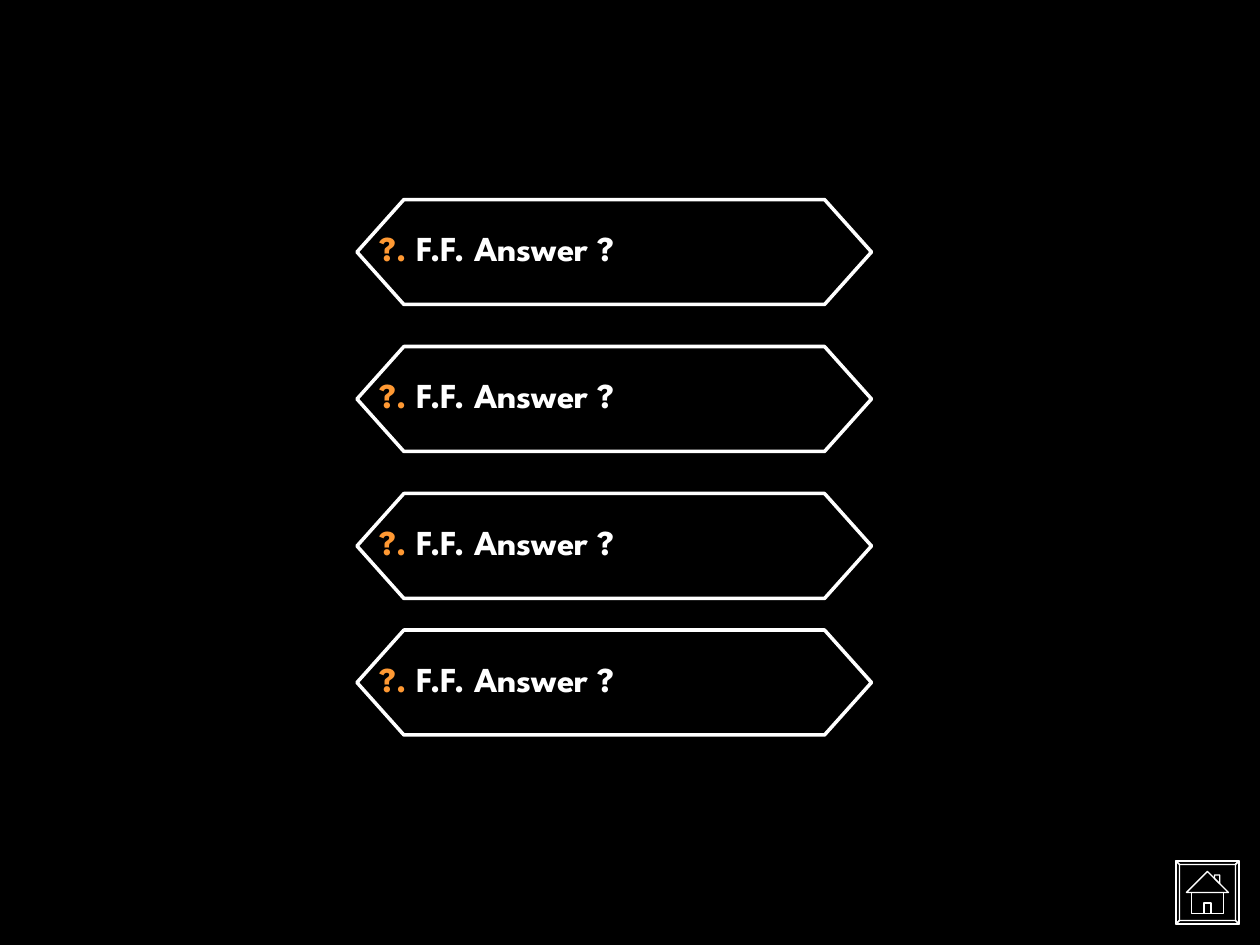
from pptx import Presentation
from pptx import util as u
from pptx.dml.color import RGBColor
from pptx.enum import shapes, text

BLACK, WHITE, ORANGE = "000000", "FFFFFF", "FF9933"


def color(hex_string):
    return RGBColor.from_string(hex_string)


def add_run(p, words, font="League Spartan", size=20, bold=True, ink=WHITE):
    r = p.add_run()
    r.text = words
    r.font.name = font
    r.font.size = u.Pt(size)
    r.font.bold = bold
    r.font.color.rgb = color(ink)
    return r


class Board:
    """Black quiz board with white outlines."""

    def __init__(self, prs):
        self.s = prs.slides.add_slide(prs.slide_layouts[6])
        fill = self.s.background.fill
        fill.solid()
        fill.fore_color.rgb = color(BLACK)

    def outline(self, sp, weight):
        sp.shadow.inherit = False
        sp.fill.solid()
        sp.fill.fore_color.rgb = color(BLACK)
        sp.line.color.rgb = color(WHITE)
        sp.line.width = u.Pt(weight)

    def answer(self, left, top, label, words):
        group = self.s.shapes.add_group_shape()
        sp = group.shapes.add_shape(shapes.MSO_SHAPE.HEXAGON, u.Pt(left),
                                    u.Pt(top), u.Pt(294), u.Pt(60))
        sp.adjustments[0] = 0.447
        self.outline(sp, 2)

        box = group.shapes.add_textbox(u.Pt(left + 6), u.Pt(top + 12),
                                       u.Pt(163.5), u.Pt(31.5))
        tf = box.text_frame
        tf.word_wrap = False
        tf.auto_size = text.MSO_AUTO_SIZE.SHAPE_TO_FIT_TEXT
        p = tf.paragraphs[0]
        add_run(p, label, ink=ORANGE)
        add_run(p, words)

    def icon(self, left, top, contours, weight=0.75):
        """Draw closed contours, given in points from left and top, as one shape."""
        first, *others = contours
        pen = self.s.shapes.build_freeform(*first[0], scale=u.Pt(1))
        pen.add_line_segments(first[1:], close=True)
        for contour in others:
            pen.move_to(*contour[0])
            pen.add_line_segments(contour[1:], close=True)
        sp = pen.convert_to_shape(u.Pt(left), u.Pt(top))
        self.outline(sp, weight)


def home_contours(size=36, bevel=2.5):
    # Frame: each bevel side joins an outer edge to the inner one
    far = size - bevel
    outer = [(0, 0), (size, 0), (size, size), (0, size)]
    inner = [(bevel, bevel), (far, bevel), (far, far), (bevel, far)]
    sides = [[outer[i - 1], outer[i], inner[i], inner[i - 1]] for i in range(4)]

    # House
    roof = [(18, 6.3), (29.7, 18), (6.3, 18)]
    walls = [(9.1, 18), (26.9, 18), (26.9, 30), (9.1, 30)]
    chimney = [(22, 10.3), (22, 7.7), (25.1, 7.7), (25.1, 13.4)]
    door = [(16.3, 23.7), (19.7, 23.7), (19.7, 30), (16.3, 30)]
    return [outer, *sides, roof, walls, chimney, door]


def main():
    prs = Presentation()
    prs.slide_width, prs.slide_height = u.Pt(720), u.Pt(540)
    board = Board(prs)

    # Answers
    for top in (114, 198, 282, 360):
        board.answer(204, top, "?.", " F.F. Answer ?")

    # Home button
    board.icon(672, 492, home_contours())

    prs.save("out.pptx")


if __name__ == "__main__":
    main()
